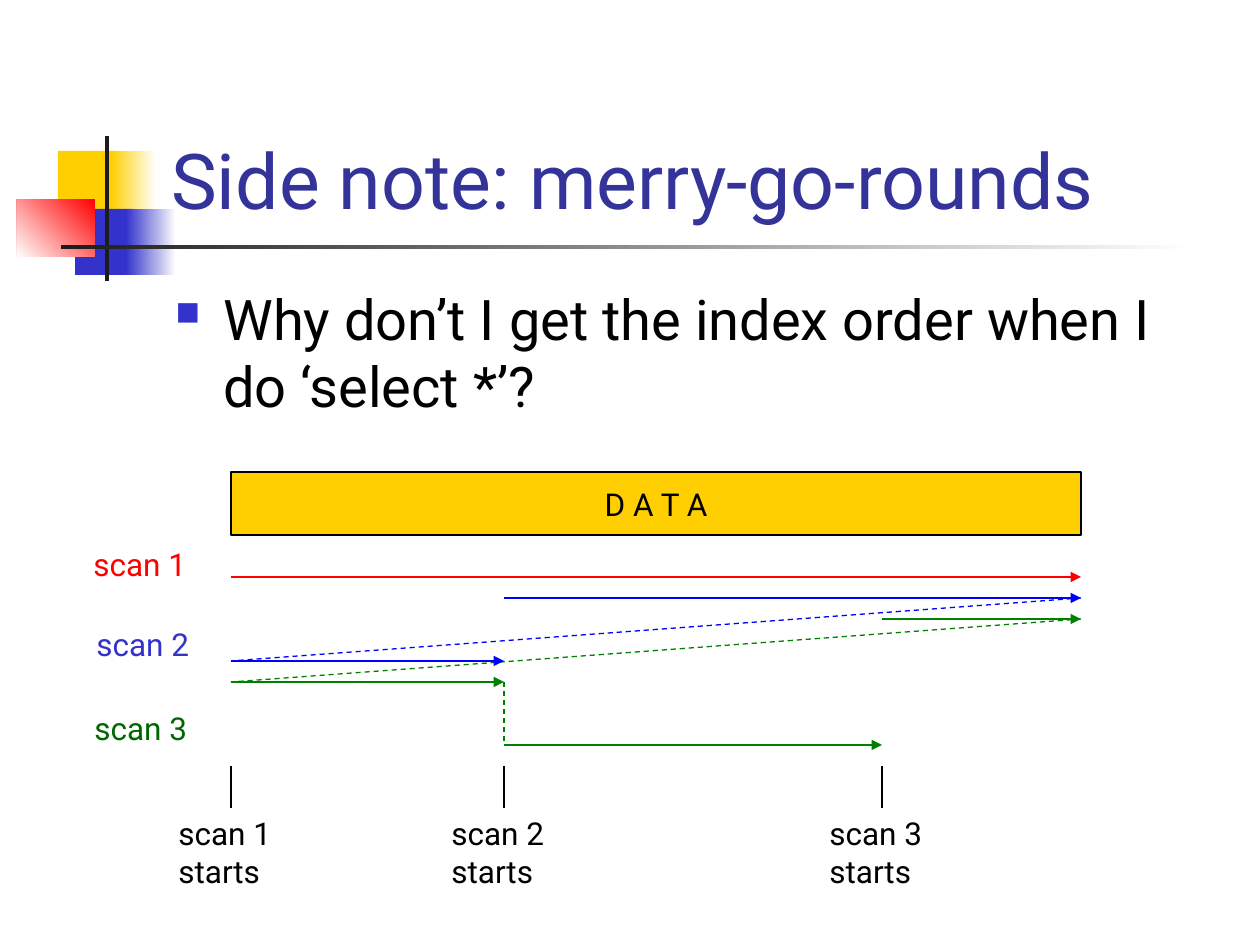
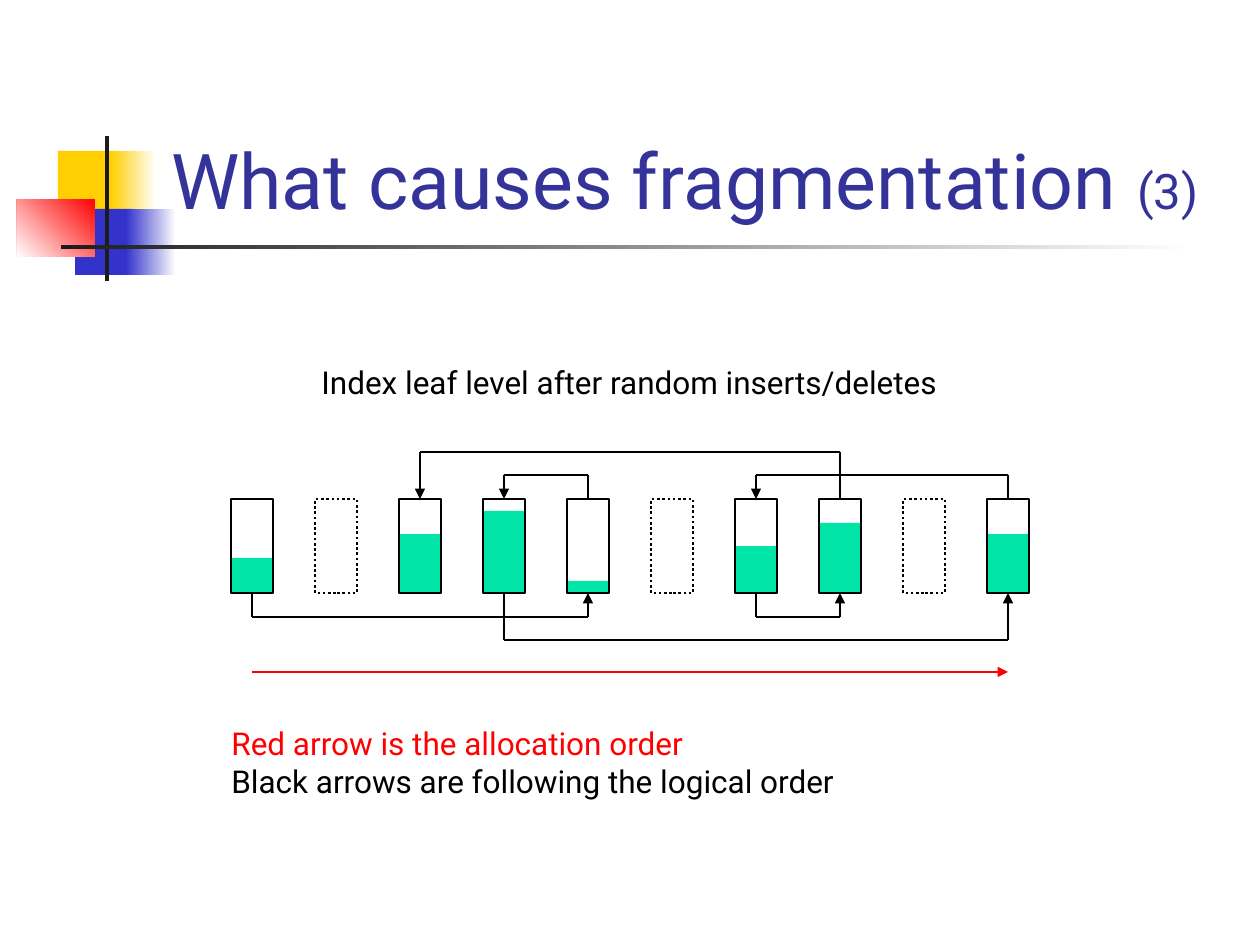
from itertools import pairwise

from lxml import etree
from pptx import Presentation
from pptx.dml.color import RGBColor
from pptx.enum import dml, shapes, text
from pptx.oxml import ns
from pptx.util import Emu, Pt

PX = 914400 / 126
FONT = "Roboto"
BLACK = RGBColor(0x00, 0x00, 0x00)
WHITE = RGBColor(0xFF, 0xFF, 0xFF)
CHARCOAL = RGBColor(0x1C, 0x1C, 0x1C)
YELLOW = RGBColor(0xFF, 0xCF, 0x01)
INDIGO = RGBColor(0x33, 0x33, 0xCC)
NAVY = RGBColor(0x33, 0x33, 0x99)
RED = RGBColor(0xFF, 0x00, 0x00)
BLUE = RGBColor(0x00, 0x00, 0xFF)
GREEN = RGBColor(0x00, 0x80, 0x00)
DARK_GREEN = RGBColor(0x00, 0x66, 0x00)
MINT = RGBColor(0x00, 0xE4, 0xA8)


def px(length):
    return Emu(round(length * PX))


def add_bullet(para):
    properties = para._p.get_or_add_pPr()
    properties.set("marL", str(px(48)))
    properties.set("indent", str(-px(48)))
    colour = etree.SubElement(properties, ns.qn("a:buClr"))
    etree.SubElement(colour, ns.qn("a:srgbClr"), val=str(INDIGO))
    etree.SubElement(properties, ns.qn("a:buSzPct"), val="60000")
    etree.SubElement(properties, ns.qn("a:buChar"), char="■")


def write(frame, lines, size=18, colour=BLACK, align=text.PP_ALIGN.LEFT,
          anchor=text.MSO_ANCHOR.TOP, wrap=True, bullet=False):
    frame.word_wrap = wrap
    frame.vertical_anchor = anchor
    for index, line in enumerate(lines):
        para = frame.paragraphs[0] if index == 0 else frame.add_paragraph()
        para.alignment = align
        if bullet:
            add_bullet(para)
        spans = [(line, {})] if isinstance(line, str) else line
        for words, change in spans:
            span = para.add_run()
            span.text = words
            span.font.name = FONT
            span.font.size = Pt(change.get("size", size))
            span.font.color.rgb = change.get("colour", colour)


def add_text(page, box, *lines, **style):
    write(page.shapes.add_textbox(*map(px, box)).text_frame, lines, **style)


def add_rect(page, box, fill=None, fade=None, outline=None, weight=1.5, dash=None):
    rect = page.shapes.add_shape(shapes.MSO_SHAPE.RECTANGLE, *map(px, box))
    rect.shadow.inherit = False
    if fill is None:
        rect.fill.background()
    elif fade is None:
        rect.fill.solid()
        rect.fill.fore_color.rgb = fill
    else:
        rect.fill.gradient()
        rect.fill.gradient_angle = fade
        for stop, colour, position in zip(rect.fill.gradient_stops, (fill, WHITE), (0, 1)):
            stop.color.rgb = colour
            stop.position = position
    if outline is None:
        rect.line.fill.background()
    else:
        rect.line.color.rgb = outline
        rect.line.width = Pt(weight)
        if dash:
            rect.line.dash_style = dash
    return rect


def add_line(page, start, end, colour=BLACK, weight=0.75, dashed=False, arrow=False):
    line = page.shapes.add_connector(
        shapes.MSO_CONNECTOR.STRAIGHT, *map(px, (*start, *end)))
    line.line.color.rgb = colour
    line.line.width = Pt(weight)
    if dashed:
        line.line.dash_style = dml.MSO_LINE.DASH
    properties = line._element.spPr
    if arrow:
        etree.SubElement(properties.find(ns.qn("a:ln")), ns.qn("a:tailEnd"), type="triangle")
    etree.SubElement(properties, ns.qn("a:effectLst"))
    return line


def add_emblem(page, box):
    left, top = box[:2]
    for x, y, width, height, fill, fade in (
        (41, 15, 61, 66, YELLOW, None),
        (94, 15, 45, 66, YELLOW, 0),
        (58, 73, 58, 66, INDIGO, None),
        (109, 73, 50, 66, INDIGO, 0),
        (0, 63, 78, 58, RED, 225),
        (88, 0, 4, 145, CHARCOAL, None),
        (44, 109, 1134, 4, CHARCOAL, 0),
    ):
        add_rect(page, (left + x, top + y, width, height), fill, fade)


def add_titled_page(deck, *spans):
    page = deck.slides.add_slide(deck.slide_layouts[6])
    add_emblem(page, (17, 136, 1178, 145))
    add_text(page, (159, 29, 1074, 202), spans, size=44, colour=NAVY,
             anchor=text.MSO_ANCHOR.BOTTOM)
    return page


def add_scan_diagram(page, box):
    left, top, width, _ = box
    starts = [left, left + 273, left + 651]
    first, second, third = starts
    end = left + width

    def row(number):
        return top + 105 + 21 * number

    data = add_rect(page, (left, top, width, 63), YELLOW, outline=BLACK, weight=0.75)
    write(data.text_frame, ["D A T A"], align=text.PP_ALIGN.CENTER,
          anchor=text.MSO_ANCHOR.MIDDLE, wrap=False)

    for colour, x1, row1, x2, row2, dashed in (
        (RED, first, 0, end, 0, False),
        (GREEN, third, 2, end, 2, False),
        (GREEN, end, 2, first, 5, True),
        (GREEN, first, 5, second, 5, False),
        (BLUE, second, 1, end, 1, False),
        (BLUE, end, 1, first, 4, True),
        (BLUE, first, 4, second, 4, False),
        (GREEN, second, 5, second, 8, True),
        (GREEN, second, 8, third, 8, False),
    ):
        add_line(page, (x1, row(row1)), (x2, row(row2)), colour,
                 dashed=dashed, arrow=not dashed)

    for name, x, y, label_width, colour in (
        ("scan 1", -150, 67, 118, RED),
        ("scan 2", -147, 147, 147, INDIGO),
        ("scan 3", -149, 231, 118, DARK_GREEN),
    ):
        add_text(page, (left + x, top + y, label_width, 50), name, colour=colour,
                 wrap=label_width > 118)

    for number, x in enumerate(starts, 1):
        add_line(page, (x, row(9)), (x, row(11)), weight=1.5)
        add_text(page, (x - 65, row(11), 118, 88), f"scan {number}", "starts", wrap=False)


def add_link(page, source, target, source_x, target_x, edge, turn, side):
    points = [(source_x, edge), (source_x, turn), (target_x, turn), (target_x, edge)]
    rise, across, arrive = [
        add_line(page, start, end, weight=1.5, arrow=end == points[-1])
        for start, end in pairwise(points)
    ]
    rise.begin_connect(source, side)
    arrive.end_connect(target, side)


def add_leaf_level(page, box):
    left, top, _, height = box
    leaf_width, pitch = 42, 84
    eighths_full = (3, 0, 5, 7, 1, 0, 4, 6, 0, 5)
    leaves = []
    for index, eighths in enumerate(eighths_full):
        x = left + index * pitch
        leaf = (x, top, leaf_width, height)
        if eighths:
            level = round(height * eighths / 8)
            add_rect(page, leaf, WHITE)
            add_rect(page, (x, top + height - level, leaf_width, level), MINT)
            leaves.append(add_rect(page, leaf, outline=BLACK))
        else:
            leaves.append(add_rect(page, leaf, WHITE, outline=BLACK,
                                   dash=dml.MSO_LINE.ROUND_DOT))

    def middle(index):
        return left + index * pitch + leaf_width // 2

    logical_order = (0, 4, 3, 9, 6, 7, 2)
    depths = (24, 24, 47, 24, 24, 47)
    for step, (source, target) in enumerate(pairwise(logical_order)):
        below = step % 2 == 0
        edge = top + height if below else top
        turn = edge + depths[step] if below else edge - depths[step]
        add_link(page, leaves[source], leaves[target], middle(source), middle(target),
                 edge, turn, 2 if below else 0)

    allocation = top + height + 79
    add_line(page, (middle(0), allocation), (middle(9), allocation), RED, arrow=True)


def build_merry_go_rounds(deck):
    page = add_titled_page(deck, ("Side note: merry-go-rounds", {}))
    add_text(page, (163, 278, 1071, 567),
             "Why don’t I get the index order when I do ‘select *’?", size=32, bullet=True)
    add_scan_diagram(page, (231, 472, 850, 424))


def build_fragmentation(deck):
    page = add_titled_page(deck, ("What causes fragmentation ", {}), ("(3)", {"size": 28}))
    add_text(page, (309, 357, 641, 88), "Index leaf level after random inserts/deletes")
    add_leaf_level(page, (231, 499, 798, 94))
    add_text(page, (219, 718, 667, 88),
             [("Red arrow is the allocation order", {"colour": RED})],
             "Black arrows are following the logical order")


def main():
    deck = Presentation()
    deck.slide_width, deck.slide_height = px(1260), px(945)
    build_merry_go_rounds(deck)
    build_fragmentation(deck)
    deck.save("out.pptx")


if __name__ == "__main__":
    main()
